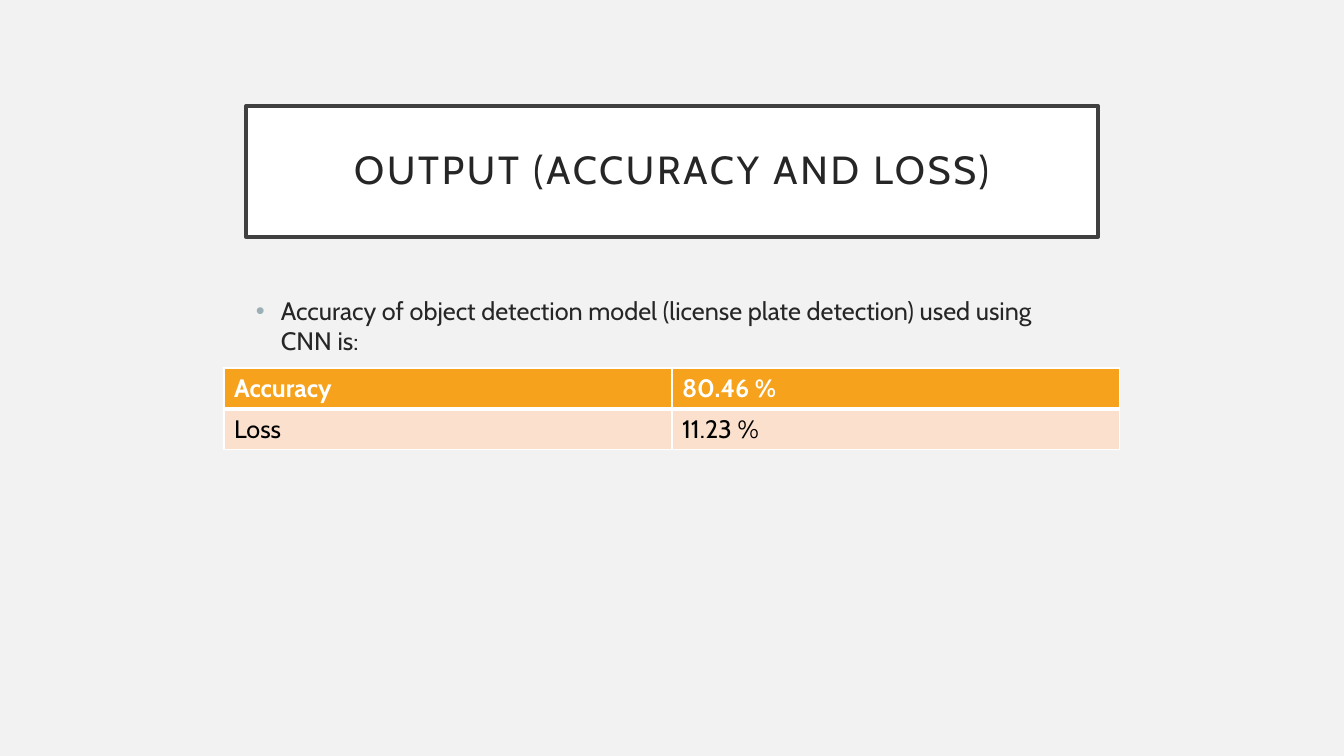
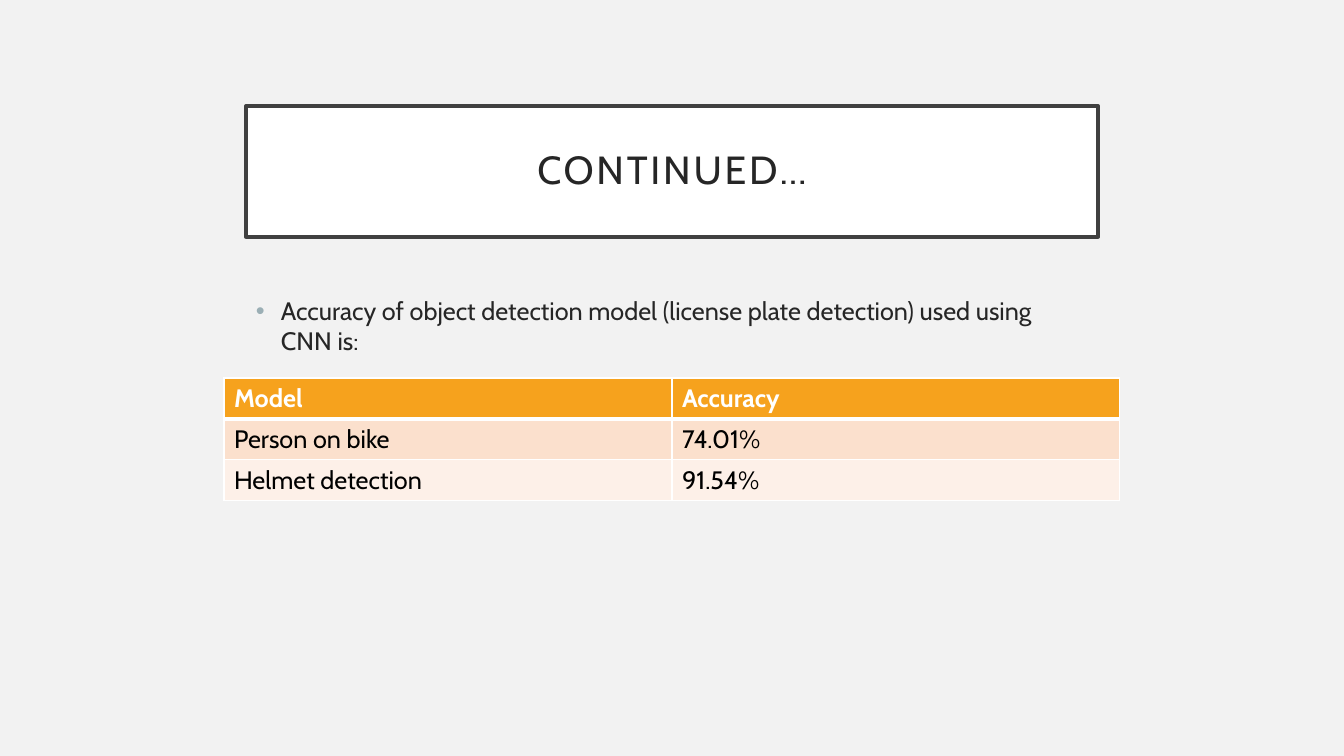
from lxml.etree import SubElement
from pptx import Presentation
from pptx.dml.color import RGBColor
from pptx.enum.text import MSO_ANCHOR, MSO_AUTO_SIZE, PP_ALIGN
from pptx.oxml.ns import qn
from pptx.util import Pt

FONT = "Cabin"
COLORS = {
    "background": "F2F2F2",
    "white": "FFFFFF",
    "frame": "404040",
    "text": "262626",
    "bullet": "9BAFB5",
    "header": "F6A21D",
    "odd_row": "FBE0CD",
    "even_row": "FDF0E8",
    "cell_text": "000000",
}
MODEL_NOTE = "Accuracy of object detection model (license plate detection) used using CNN is:"
PAGES = [
    {
        "title": "OUTPUT (ACCURACY AND LOSS)",
        "bullet": MODEL_NOTE,
        "table_top": 262.8,
        "rows": [("Accuracy", "80.46 %"), ("Loss", "11.23 %")],
    },
    {
        "title": "CONTINUED…",
        "bullet": MODEL_NOTE,
        "table_top": 270,
        "rows": [("Model", "Accuracy"), ("Person on bike", "74.01%"), ("Helmet detection", "91.54%")],
    },
]
PAGE_WIDTH, PAGE_HEIGHT = 960, 540
CONTENT_WIDTH = 608.8
CONTENT_LEFT = (PAGE_WIDTH - CONTENT_WIDTH) / 2
TITLE_TOP, TITLE_HEIGHT, TITLE_INSET = 75.6, 93.6, 14.4
BODY_TOP, BODY_HEIGHT, BULLET_INDENT = 207.4, 244, 18
TABLE_WIDTH, ROW_HEIGHT = 640, 29.2
THIN, THICK = 1, 3


def color(name):
    return RGBColor.from_string(COLORS[name])


def fill_with(target, name):
    target.fill.solid()
    target.fill.fore_color.rgb = color(name)


def format_text(para, size, name, bold=False):
    for span in para.runs:
        span.font.name = FONT
        span.font.size = Pt(size)
        span.font.bold = bold
        span.font.color.rgb = color(name)


def add_title(page, text):
    title = page.shapes.title
    title.left, title.top = Pt(CONTENT_LEFT), Pt(TITLE_TOP)
    title.width, title.height = Pt(CONTENT_WIDTH), Pt(TITLE_HEIGHT)
    fill_with(title, "white")
    title.line.color.rgb = color("frame")
    title.line.width = Pt(2.5)
    frame = title.text_frame
    frame.text = text
    frame.word_wrap = True
    frame.auto_size = MSO_AUTO_SIZE.NONE
    frame.vertical_anchor = MSO_ANCHOR.MIDDLE
    frame.margin_left = frame.margin_right = Pt(TITLE_INSET)
    frame.margin_top = frame.margin_bottom = Pt(TITLE_INSET)
    para = frame.paragraphs[0]
    para.alignment = PP_ALIGN.CENTER
    para.line_spacing = 0.9
    format_text(para, 28, "text")
    for span in para.runs:
        span.font._element.set("spc", "200")


def add_bullet(page, text):
    box = page.shapes.add_textbox(Pt(CONTENT_LEFT), Pt(BODY_TOP), Pt(CONTENT_WIDTH), Pt(BODY_HEIGHT))
    frame = box.text_frame
    frame.text = text
    frame.word_wrap = True
    para = frame.paragraphs[0]
    para.space_before = Pt(10)
    format_text(para, 18, "text")
    properties = para._p.get_or_add_pPr()
    properties.set("marL", str(Pt(BULLET_INDENT)))
    properties.set("indent", str(-Pt(BULLET_INDENT)))
    bullet_color = SubElement(properties, qn("a:buClr"))
    SubElement(bullet_color, qn("a:srgbClr"), val=COLORS["bullet"])
    SubElement(properties, qn("a:buFont"), typeface="Arial")
    SubElement(properties, qn("a:buChar"), char="•")


def add_borders(cell, top, bottom):
    properties = cell._tc.get_or_add_tcPr()
    for side, width in (("L", THIN), ("R", THIN), ("T", top), ("B", bottom)):
        border = SubElement(properties, qn(f"a:ln{side}"), w=str(Pt(width)))
        fill = SubElement(border, qn("a:solidFill"))
        SubElement(fill, qn("a:srgbClr"), val=COLORS["white"])


def add_results(page, rows, top):
    column_count = len(rows[0])
    table = page.shapes.add_table(
        len(rows), column_count, Pt((PAGE_WIDTH - TABLE_WIDTH) / 2), Pt(top),
        Pt(TABLE_WIDTH), Pt(ROW_HEIGHT * len(rows)),
    ).table
    for column in table.columns:
        column.width = Pt(TABLE_WIDTH / column_count)
    for row_index, values in enumerate(rows):
        table.rows[row_index].height = Pt(ROW_HEIGHT)
        is_header = row_index == 0
        row_fill = "header" if is_header else ("even_row", "odd_row")[row_index % 2]
        for column_index, value in enumerate(values):
            cell = table.cell(row_index, column_index)
            cell.text_frame.text = value
            format_text(cell.text_frame.paragraphs[0], 18, "white" if is_header else "cell_text", is_header)
            add_borders(cell, THICK if row_index == 1 else THIN, THICK if is_header else THIN)
            fill_with(cell, row_fill)


def main():
    deck = Presentation()
    deck.slide_width, deck.slide_height = Pt(PAGE_WIDTH), Pt(PAGE_HEIGHT)
    fill_with(deck.slide_master.background, "background")
    for content in PAGES:
        page = deck.slides.add_slide(deck.slide_layouts[5])
        add_title(page, content["title"])
        add_bullet(page, content["bullet"])
        add_results(page, content["rows"], content["table_top"])
    deck.save("out.pptx")


if __name__ == "__main__":
    main()
